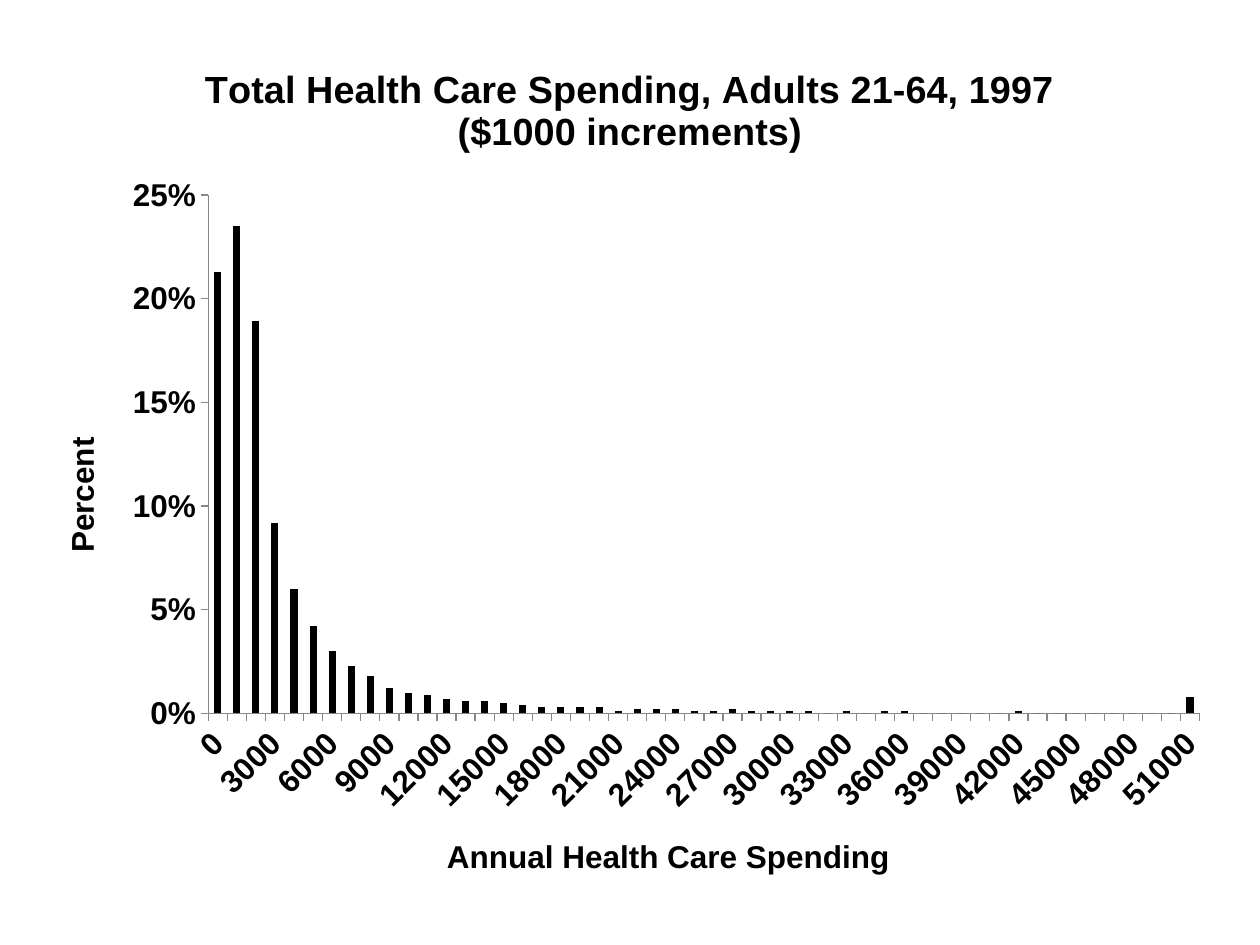
from lxml.etree import SubElement
from pptx import Presentation
from pptx.chart.data import CategoryChartData
from pptx.dml.color import RGBColor
from pptx.enum.chart import XL_CHART_TYPE as ChartType, XL_TICK_MARK as TickMark
from pptx.oxml.ns import qn
from pptx.util import Pt

BLACK = RGBColor(0x00, 0x00, 0x00)
GRAY = RGBColor(0x87, 0x87, 0x87)
FONT = "Arial"

# Share of adults in each $1000 spending band, starting at 0
SHARES = [
    0.213, 0.235, 0.189, 0.092, 0.06, 0.042, 0.03, 0.023, 0.018, 0.012,
    0.01, 0.009, 0.007, 0.006, 0.006, 0.005, 0.004, 0.003, 0.003, 0.003,
    0.003, 0.001, 0.002, 0.002, 0.002, 0.001, 0.001, 0.002, 0.001, 0.001,
    0.001, 0.001, 0, 0.001, 0, 0.001, 0.001, 0, 0, 0,
    0, 0, 0.001, 0, 0, 0, 0, 0, 0, 0,
    0, 0.008,
]


def format_font(font, size):
    font.name = FONT
    font.size = Pt(size)
    font.bold = True
    font.color.rgb = BLACK


def set_layout(parent, after, inner=False, **fractions):
    """Place a chart part by fractions of the chart's width and height."""
    for old in parent.findall(qn("c:layout")):
        parent.remove(old)
    layout = SubElement(parent, qn("c:layout"))
    manual = SubElement(layout, qn("c:manualLayout"))
    if inner:
        SubElement(manual, qn("c:layoutTarget")).set("val", "inner")
    for name in ("x", "y"):
        SubElement(manual, qn(f"c:{name}Mode")).set("val", "edge")
    for name, value in fractions.items():
        SubElement(manual, qn(f"c:{name}")).set("val", str(value))
    if after is None:
        parent.insert(0, layout)
    else:
        after.addnext(layout)


def write_title(title, lines, size, x, y):
    frame = title.text_frame
    for index, line in enumerate(lines):
        paragraph = frame.paragraphs[0] if index == 0 else frame.add_paragraph()
        run = paragraph.add_run()
        run.text = line
        format_font(run.font, size)
    element = title._element
    set_layout(element, element.find(qn("c:tx")), x=x, y=y)


def format_axis(axis, number_format):
    axis.has_major_gridlines = False
    axis.major_tick_mark = TickMark.OUTSIDE
    axis.minor_tick_mark = TickMark.NONE
    axis.format.line.color.rgb = GRAY
    axis.format.line.width = Pt(0.75)
    format_font(axis.tick_labels.font, 18)
    axis.tick_labels.number_format = number_format
    axis.tick_labels.number_format_is_linked = False


def format_category_axis(axis):
    format_axis(axis, r"\$#,##0")
    write_title(axis.axis_title, ["Annual Health Care Spending"], 18, 0.342, 0.913)
    # Slanted labels, one for every third band
    body = axis._element.find(qn("c:txPr")).find(qn("a:bodyPr"))
    body.set("rot", "-2700000")
    body.set("vert", "horz")
    multi_level = axis._element.find(qn("c:noMultiLvlLbl"))
    for name, value in (("tickLblSkip", "3"), ("tickMarkSkip", "1")):
        skip = SubElement(axis._element, qn(f"c:{name}"))
        skip.set("val", value)
        multi_level.addprevious(skip)


def format_value_axis(axis):
    format_axis(axis, "0%")
    axis.minimum_scale, axis.maximum_scale, axis.major_unit = 0, 0.25, 0.05
    write_title(axis.axis_title, ["Percent"], 18, 0.019, 0.453)
    axis.axis_title._element.find(".//" + qn("a:bodyPr")).set("rot", "-5400000")


def add_spending_chart(slide):
    data = CategoryChartData(number_format="0%")
    data.categories = [str(1000 * band) for band in range(len(SHARES))]
    data.add_series("Series 1", SHARES)
    chart = slide.shapes.add_chart(
        ChartType.COLUMN_CLUSTERED, Pt(18.72), Pt(22.32), Pt(682.56), Pt(495.36), data
    ).chart
    format_font(chart.font, 18)
    chart.has_legend = False

    chart.has_title = True
    lines = ["Total Health Care Spending, Adults 21-64, 1997", "($1000 increments)"]
    write_title(chart.chart_title, lines, 21.6, 0.141, 0.028)
    chart.chart_title._element.find(qn("c:overlay")).set("val", "1")

    # Black columns
    plot = chart.plots[0]
    plot.vary_by_categories = False
    plot.gap_width = 170
    fill = plot.series[0].format.fill
    fill.solid()
    fill.fore_color.rgb = BLACK

    format_category_axis(chart.category_axis)
    format_value_axis(chart.value_axis)
    plot_area = chart._chartSpace.find(".//" + qn("c:plotArea"))
    set_layout(plot_area, None, inner=True, x=0.147, y=0.18, w=0.83, h=0.598)


def main():
    presentation = Presentation()
    presentation.slide_width, presentation.slide_height = Pt(720), Pt(540)
    # The heading belongs to the chart, so the layout is blank
    slide = presentation.slides.add_slide(presentation.slide_layouts[6])
    add_spending_chart(slide)
    presentation.save("out.pptx")


if __name__ == "__main__":
    main()
